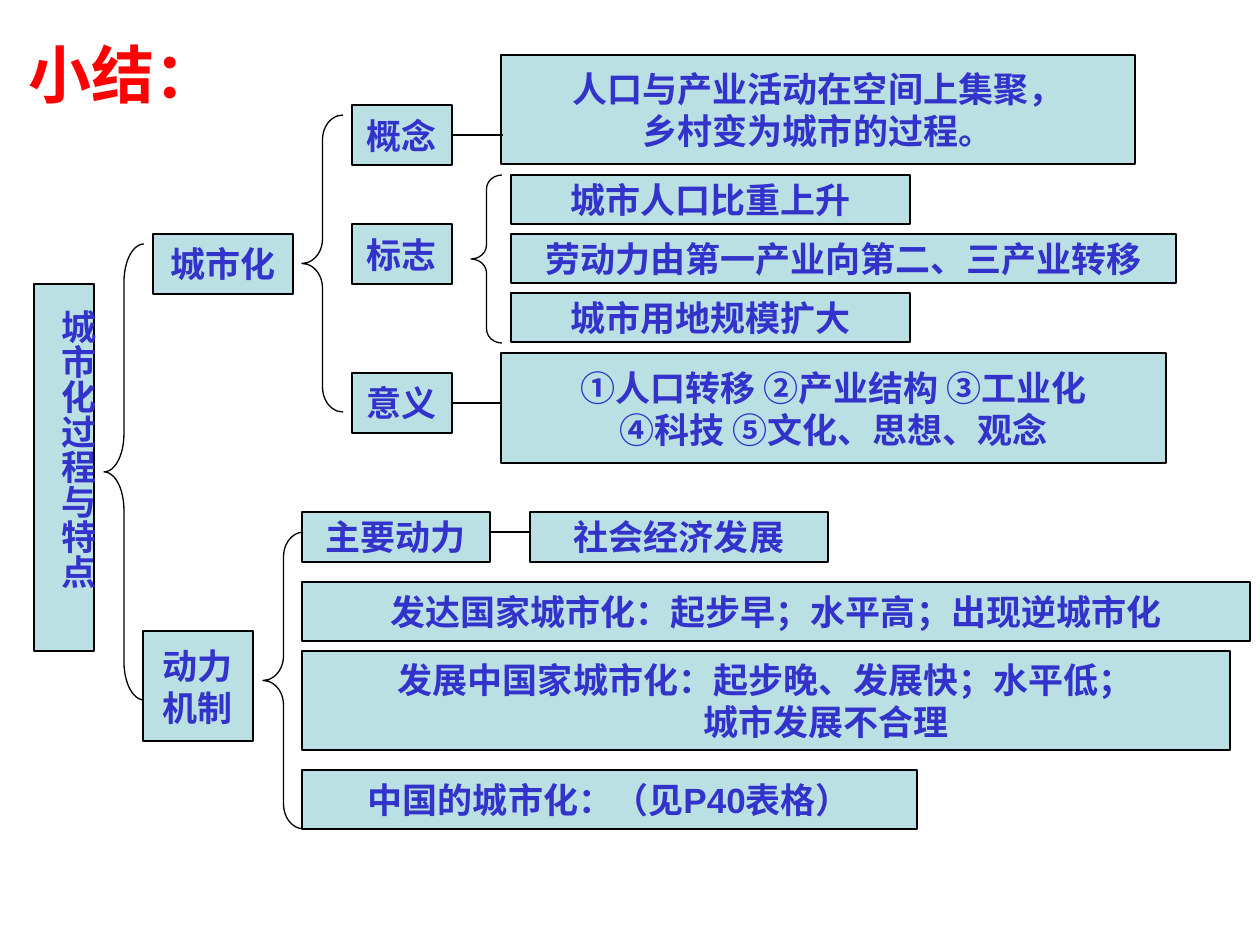
from dataclasses import dataclass

from lxml.etree import SubElement
from pptx import Presentation
from pptx.dml.color import RGBColor
from pptx.enum.shapes import MSO_CONNECTOR, MSO_SHAPE
from pptx.enum.text import MSO_ANCHOR, MSO_AUTO_SIZE, PP_ALIGN
from pptx.oxml.ns import qn
from pptx.util import Emu, Pt

PX_PER_INCH = 126
TITLE_ONLY = 5
RIGHT_SIDE = 3


@dataclass(frozen=True)
class Theme:
    title_color: RGBColor = RGBColor(0xFF, 0x00, 0x00)
    text_color: RGBColor = RGBColor(0x33, 0x33, 0xCC)
    box_fill: RGBColor = RGBColor(0xBB, 0xE0, 0xE3)
    line_color: RGBColor = RGBColor(0x00, 0x00, 0x00)
    title_size: Pt = Pt(36)
    text_size: Pt = Pt(20)
    line_width: Pt = Pt(0.75)
    font: str = "Arial"
    symbol_font: str = "Noto Sans CJK SC"


THEME = Theme()


def px(length):
    return Emu(round(length * 914400 / PX_PER_INCH))


def place(*lengths):
    return [px(length) for length in lengths]


def set_font(para, color=THEME.text_color, size=THEME.text_size, name=THEME.font):
    font = para.font
    font.name, font.size, font.bold = name, size, True
    font.color.rgb = color


def set_line(line):
    line.color.rgb = THEME.line_color
    line.width = THEME.line_width


def add_title(page, text, bounds):
    title = page.shapes.title
    title.left, title.top, title.width, title.height = place(*bounds)
    frame = title.text_frame
    frame.text = text
    frame.word_wrap = False
    frame.auto_size = MSO_AUTO_SIZE.NONE
    frame.vertical_anchor = MSO_ANCHOR.TOP
    para = frame.paragraphs[0]
    para.alignment = PP_ALIGN.LEFT
    set_font(para, THEME.title_color, THEME.title_size)


def add_box(page, bounds, *lines, font=THEME.font, last_indent=0):
    """Add a filled box with one centred paragraph per line."""
    box = page.shapes.add_shape(MSO_SHAPE.RECTANGLE, *place(*bounds))
    box.shadow.inherit = False
    box.fill.solid()
    box.fill.fore_color.rgb = THEME.box_fill
    set_line(box.line)
    if lines:
        frame = box.text_frame
        frame.text = "\n".join(lines)
        frame.word_wrap = False
        frame.vertical_anchor = MSO_ANCHOR.MIDDLE
        for para in frame.paragraphs:
            para.alignment = PP_ALIGN.CENTER
            set_font(para, name=font)
        if last_indent:
            properties = frame.paragraphs[-1]._p.get_or_add_pPr()
            properties.set("marL", str(px(last_indent)))
    return box


def add_vertical_text(page, text, bounds):
    box = page.shapes.add_textbox(*place(*bounds))
    frame = box.text_frame
    frame.text = text
    frame.word_wrap = False
    frame.margin_left = frame.margin_right = Pt(3.6)
    frame.margin_top = frame.margin_bottom = Pt(7.2)
    box.element.txBody.bodyPr.set("vert", "eaVert")
    set_font(frame.paragraphs[0])


def add_brace(page, left, top, width, height):
    """Add a left brace whose curves each take a twelfth of its height."""
    brace = page.shapes.add_shape(
        MSO_SHAPE.LEFT_BRACE, *place(left, top, width, height))
    brace.adjustments[0] = height / (12 * width)
    brace.shadow.inherit = False
    brace.fill.background()
    set_line(brace.line)


def add_link(page, start_x, end_x, y, source=None):
    link = page.shapes.add_connector(
        MSO_CONNECTOR.STRAIGHT, *place(start_x, y, end_x, y))
    if source is not None:
        link.begin_connect(source, RIGHT_SIDE)
    set_line(link.line)
    SubElement(link.element.spPr, qn("a:effectLst"))


def add_root(page):
    add_box(page, (34, 284, 60, 367))
    add_vertical_text(page, "城市化过程与特点", (38, 297, 67, 294))
    add_brace(page, 104, 244, 40, 456)


def add_urbanisation(page):
    add_box(page, (153, 234, 140, 60), "城市化")
    add_brace(page, 302, 115, 41, 297)
    concept, _, meaning = [
        add_box(page, (352, top, 100, 60), label)
        for label, top in (("概念", 105), ("标志", 224), ("意义", 373))
    ]
    add_brace(page, 471, 175, 31, 168)
    signs = (
        ("城市人口比重上升", 399),
        ("劳动力由第一产业向第二、三产业转移", 665),
        ("城市用地规模扩大", 399),
    )
    for row, (sign, width) in enumerate(signs):
        add_box(page, (511, 175 + 59 * row, width, 49), sign)
    add_box(page, (501, 55, 634, 109),
            "人口与产业活动在空间上集聚，", "乡村变为城市的过程。")
    add_link(page, 452, 503, 135, concept)
    add_link(page, 452, 503, 403, meaning)
    add_box(page, (501, 353, 665, 110),
            "①人口转移 ②产业结构 ③工业化", "④科技 ⑤文化、思想、观念",
            font=THEME.symbol_font)


def add_driving_forces(page):
    add_box(page, (143, 631, 110, 110), "动力", "机制")
    add_brace(page, 263, 532, 41, 297)
    add_box(page, (302, 512, 188, 50), "主要动力")
    add_box(page, (530, 512, 298, 50), "社会经济发展")
    add_link(page, 490, 530, 532)
    add_box(page, (302, 582, 948, 59),
            "发达国家城市化：起步早；水平高；出现逆城市化")
    add_box(page, (302, 651, 928, 99),
            "发展中国家城市化：起步晚、发展快；水平低；", "城市发展不合理",
            last_indent=120)
    add_box(page, (302, 770, 615, 59), "中国的城市化：（见P40表格）")


def main():
    deck = Presentation()
    deck.slide_width, deck.slide_height = place(1260, 945)
    page = deck.slides.add_slide(deck.slide_layouts[TITLE_ONLY])
    add_title(page, "小结：", (16, 29, 214, 88))
    add_root(page)
    add_urbanisation(page)
    add_driving_forces(page)
    deck.save("out.pptx")


if __name__ == "__main__":
    main()
